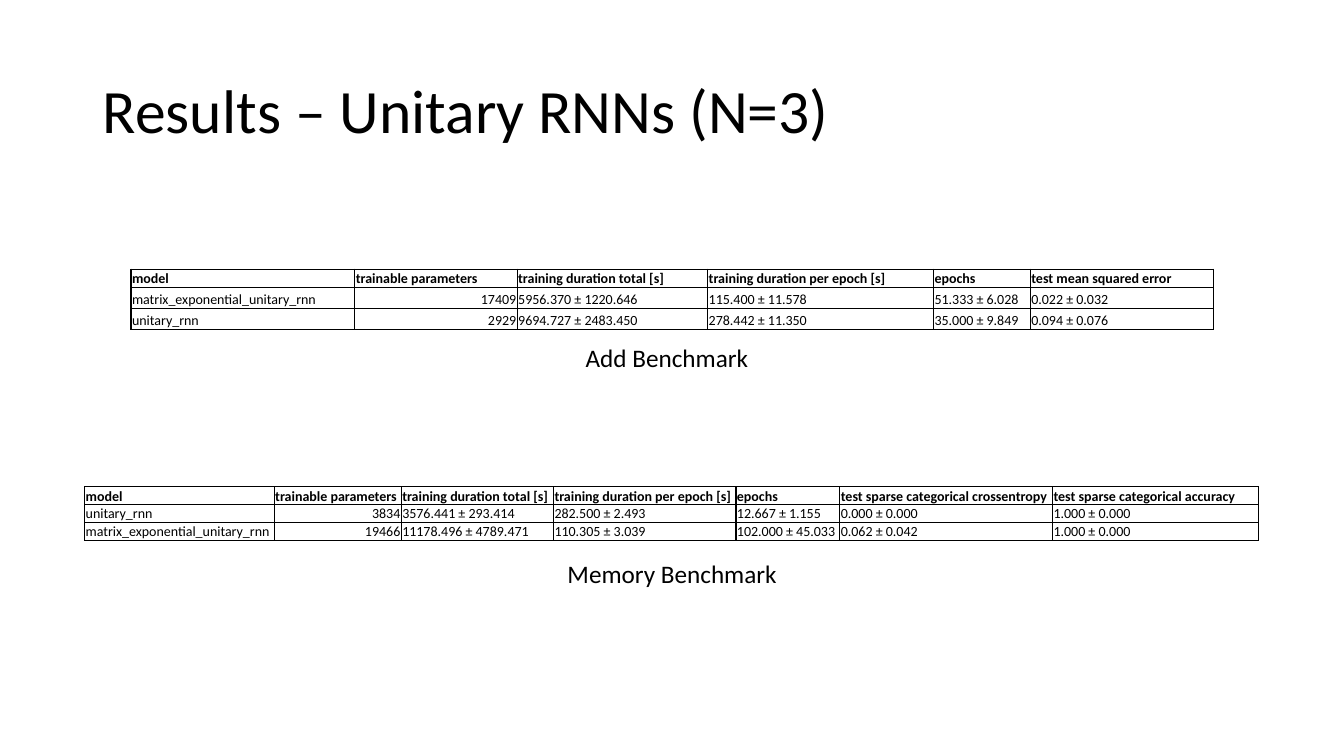
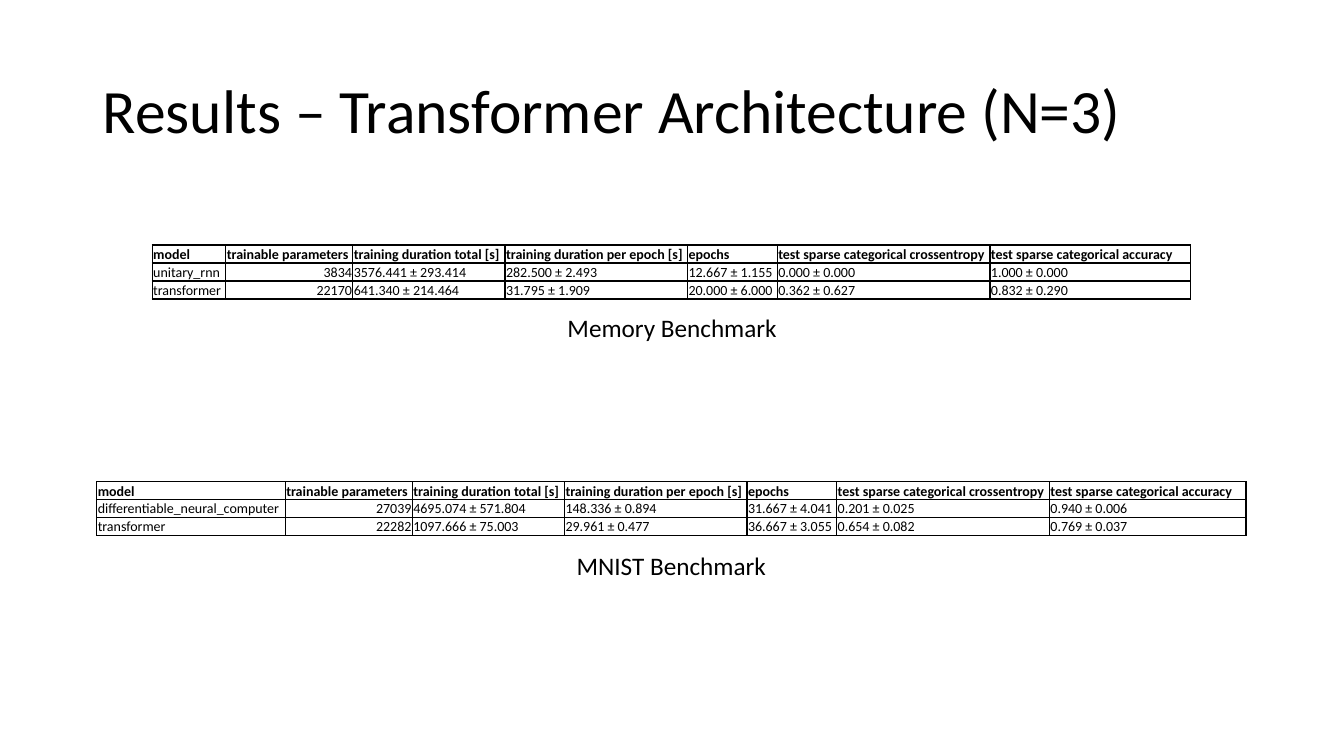
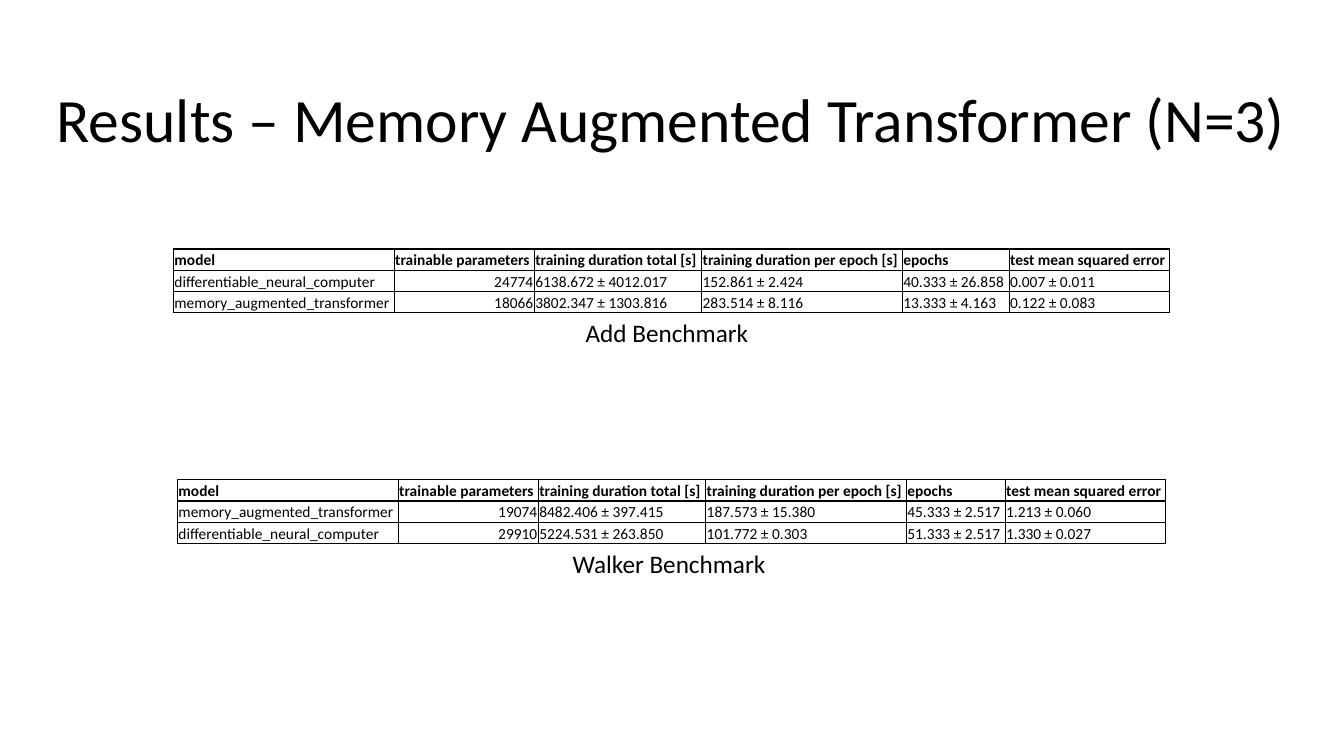
import pptx
import pptx.dml.color
import pptx.enum.text
import pptx.oxml
import pptx.oxml.ns
import pptx.util

Inches = pptx.util.Inches
Pt = pptx.util.Pt
ALIGN = pptx.enum.text.PP_ALIGN
ANCHOR = pptx.enum.text.MSO_ANCHOR
AUTO_SIZE = pptx.enum.text.MSO_AUTO_SIZE

# Shared style
BLACK = pptx.dml.color.RGBColor(0x00, 0x00, 0x00)
FONT = "Calibri"
TITLE_AREA = (0.92, 0.4, 11.5, 1.45)
WIDE_TITLE_AREA = (0.46, 0.49, 12.42, 1.45)
CAPTION_HEIGHT = 0.4
CELL_FORMAT = {
    "margin_left": Inches(0.01),
    "margin_right": Inches(0.01),
    "margin_top": Inches(0.01),
    "margin_bottom": 0,
    "vertical_anchor": ANCHOR.BOTTOM,
}
BORDER = (
    '<a:{side} {namespace} w="12700"><a:solidFill><a:srgbClr val="{color}"/>'
    '</a:solidFill><a:prstDash val="solid"/></a:{side}>'
)

# Column headings
COMMON_HEADINGS = [
    "model",
    "trainable parameters",
    "training duration total [s]",
    "training duration per epoch [s]",
    "epochs",
]
ERROR_HEADINGS = COMMON_HEADINGS + ["test mean squared error"]
CATEGORY_HEADINGS = COMMON_HEADINGS + [
    "test sparse categorical crossentropy",
    "test sparse categorical accuracy",
]

# Each slide holds two benchmarks; a caption is (text, left, top, width)
SLIDES = [
    {
        "title": "Results – Unitary RNNs (N=3)",
        "area": TITLE_AREA,
        "size": 10,
        "benchmarks": [
            {
                "caption": ("Add Benchmark", 5.71, 3.35, 1.91),
                "at": (1.3, 2.67),
                "columns": [2.22, 1.61, 1.89, 2.24, 0.96, 1.82],
                "rows": [0.16, 0.21, 0.21],
                "cells": [
                    ERROR_HEADINGS,
                    ["matrix_exponential_unitary_rnn", "17409", "5956.370 ± 1220.646",
                     "115.400 ± 11.578", "51.333 ± 6.028", "0.022 ± 0.032"],
                    ["unitary_rnn", "2929", "9694.727 ± 2483.450",
                     "278.442 ± 11.350", "35.000 ± 9.849", "0.094 ± 0.076"],
                ],
            },
            {
                "caption": ("Memory Benchmark", 5.53, 5.49, 2.28),
                "at": (0.84, 4.83),
                "columns": [1.88, 1.26, 1.51, 1.81, 1.03, 2.11, 2.04],
                "rows": [0.12, 0.17, 0.17],
                "cells": [
                    CATEGORY_HEADINGS,
                    ["unitary_rnn", "3834", "3576.441 ± 293.414", "282.500 ± 2.493",
                     "12.667 ± 1.155", "0.000 ± 0.000", "1.000 ± 0.000"],
                    ["matrix_exponential_unitary_rnn", "19466", "11178.496 ± 4789.471",
                     "110.305 ± 3.039", "102.000 ± 45.033", "0.062 ± 0.042", "1.000 ± 0.000"],
                ],
            },
        ],
    },
    {
        "title": "Results – Transformer Architecture (N=3)",
        "area": TITLE_AREA,
        "size": 10,
        "benchmarks": [
            {
                "caption": ("Memory Benchmark", 5.53, 3.05, 2.28),
                "at": (1.51, 2.43),
                "columns": [0.73, 1.26, 1.51, 1.81, 0.89, 2.11, 1.99],
                "rows": [0.17] * 3,
                "cells": [
                    CATEGORY_HEADINGS,
                    ["unitary_rnn", "3834", "3576.441 ± 293.414", "282.500 ± 2.493",
                     "12.667 ± 1.155", "0.000 ± 0.000", "1.000 ± 0.000"],
                    ["transformer", "22170", "641.340 ± 214.464", "31.795 ± 1.909",
                     "20.000 ± 6.000", "0.362 ± 0.627", "0.832 ± 0.290"],
                ],
            },
            {
                "caption": ("MNIST Benchmark", 5.62, 5.41, 2.08),
                "at": (0.96, 4.78),
                "columns": [1.87, 1.26, 1.51, 1.81, 0.89, 2.11, 1.95],
                "rows": [0.17] * 3,
                "cells": [
                    CATEGORY_HEADINGS,
                    ["differentiable_neural_computer", "27039", "4695.074 ± 571.804",
                     "148.336 ± 0.894", "31.667 ± 4.041", "0.201 ± 0.025", "0.940 ± 0.006"],
                    ["transformer", "22282", "1097.666 ± 75.003", "29.961 ± 0.477",
                     "36.667 ± 3.055", "0.654 ± 0.082", "0.769 ± 0.037"],
                ],
            },
        ],
    },
    {
        "title": "Results – Memory Augmented Transformer (N=3)",
        "area": WIDE_TITLE_AREA,
        "size": 11,
        "benchmarks": [
            {
                "caption": ("Add Benchmark", 5.71, 3.1, 1.91),
                "at": (1.72, 2.47),
                "columns": [2.19, 1.39, 1.66, 1.99, 1.06, 1.59],
                "rows": [0.21] * 3,
                "cells": [
                    ERROR_HEADINGS,
                    ["differentiable_neural_computer", "24774", "6138.672 ± 4012.017",
                     "152.861 ± 2.424", "40.333 ± 26.858", "0.007 ± 0.011"],
                    ["memory_augmented_transformer", "18066", "3802.347 ± 1303.816",
                     "283.514 ± 8.116", "13.333 ± 4.163", "0.122 ± 0.083"],
                ],
            },
            {
                "caption": ("Walker Benchmark", 5.58, 5.39, 2.18),
                "at": (1.76, 4.76),
                "columns": [2.19, 1.39, 1.66, 1.99, 0.98, 1.59],
                "rows": [0.21] * 3,
                "cells": [
                    ERROR_HEADINGS,
                    ["memory_augmented_transformer", "19074", "8482.406 ± 397.415",
                     "187.573 ± 15.380", "45.333 ± 2.517", "1.213 ± 0.060"],
                    ["differentiable_neural_computer", "29910", "5224.531 ± 263.850",
                     "101.772 ± 0.303", "51.333 ± 2.517", "1.330 ± 0.027"],
                ],
            },
        ],
    },
]


def write(frame, text, size, bold=False, align=ALIGN.LEFT):
    para = frame.paragraphs[0]
    para.alignment = align
    span = para.add_run()
    span.text = text
    for name, value in {"name": FONT, "size": Pt(size), "bold": bold}.items():
        setattr(span.font, name, value)
    span.font.color.rgb = BLACK
    return para


def format_cell(cell):
    for name, value in CELL_FORMAT.items():
        setattr(cell, name, value)
    properties = cell._tc.get_or_add_tcPr()
    for side in ("lnL", "lnR", "lnT", "lnB"):
        properties.append(pptx.oxml.parse_xml(BORDER.format(
            side=side, namespace=pptx.oxml.ns.nsdecls("a"), color=BLACK)))
    cell.fill.background()


deck = pptx.Presentation()
deck.slide_width = Inches(13.33)
deck.slide_height = Inches(7.5)
title_only = deck.slide_layouts[5]

for content in SLIDES:
    page = deck.slides.add_slide(title_only)

    # Title
    title = page.shapes.title
    for name, value in zip(("left", "top", "width", "height"), content["area"]):
        setattr(title, name, Inches(value))
    title.text_frame.vertical_anchor = ANCHOR.MIDDLE
    title.text_frame.auto_size = AUTO_SIZE.NONE
    write(title.text_frame, content["title"], 44).line_spacing = 0.9

    for benchmark in content["benchmarks"]:
        # Results table
        widths, heights = benchmark["columns"], benchmark["rows"]
        left, top = benchmark["at"]
        table = page.shapes.add_table(
            len(heights), len(widths), Inches(left), Inches(top),
            Inches(sum(widths)), Inches(sum(heights))).table
        table.first_row = False
        table.horz_banding = False
        for column, width in zip(table.columns, widths):
            column.width = Inches(width)
        for row, height in zip(table.rows, heights):
            row.height = Inches(height)
        for row_index, texts in enumerate(benchmark["cells"]):
            is_heading = row_index == 0
            for column_index, text in enumerate(texts):
                cell = table.cell(row_index, column_index)
                format_cell(cell)
                is_count = column_index == 1 and not is_heading
                write(cell.text_frame, text, content["size"], is_heading,
                      ALIGN.RIGHT if is_count else ALIGN.LEFT)

        # Caption
        text, left, top, width = benchmark["caption"]
        box = page.shapes.add_textbox(
            Inches(left), Inches(top), Inches(width), Inches(CAPTION_HEIGHT))
        box.text_frame.auto_size = AUTO_SIZE.SHAPE_TO_FIT_TEXT
        write(box.text_frame, text, 18)

deck.save("out.pptx")
